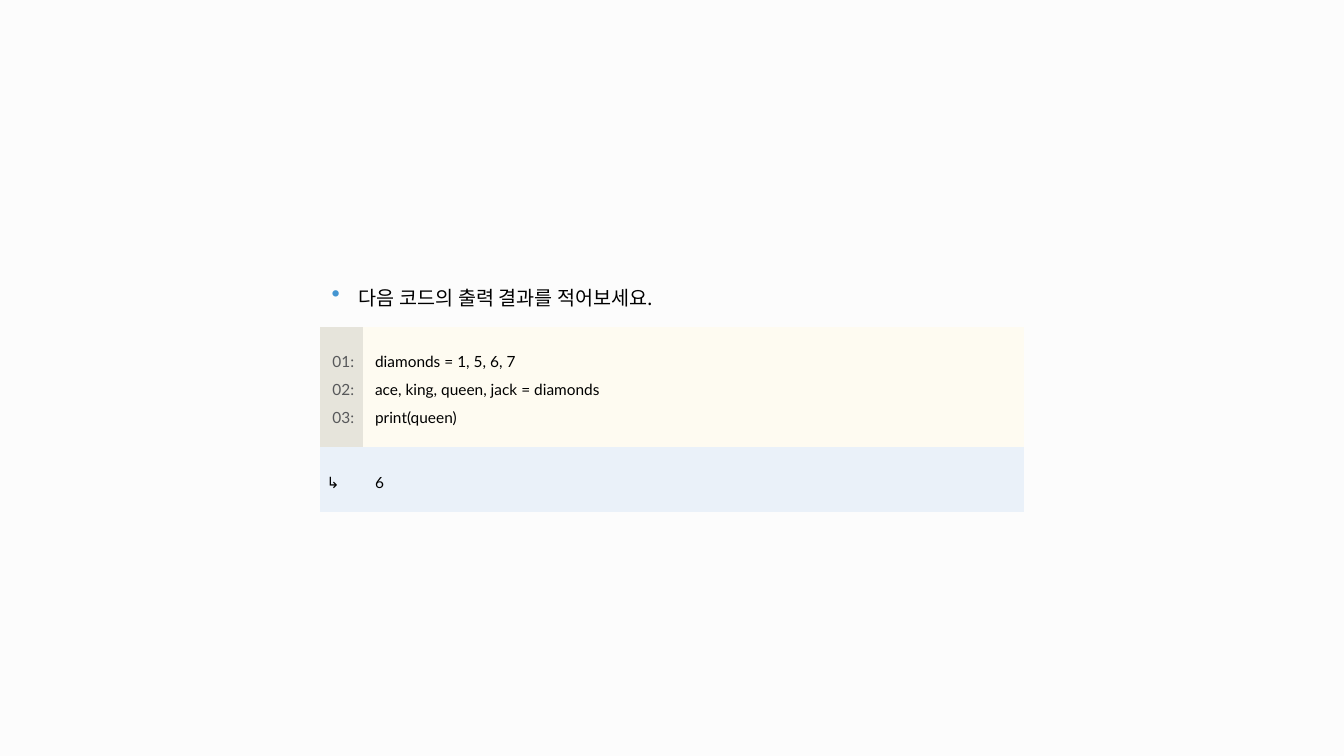
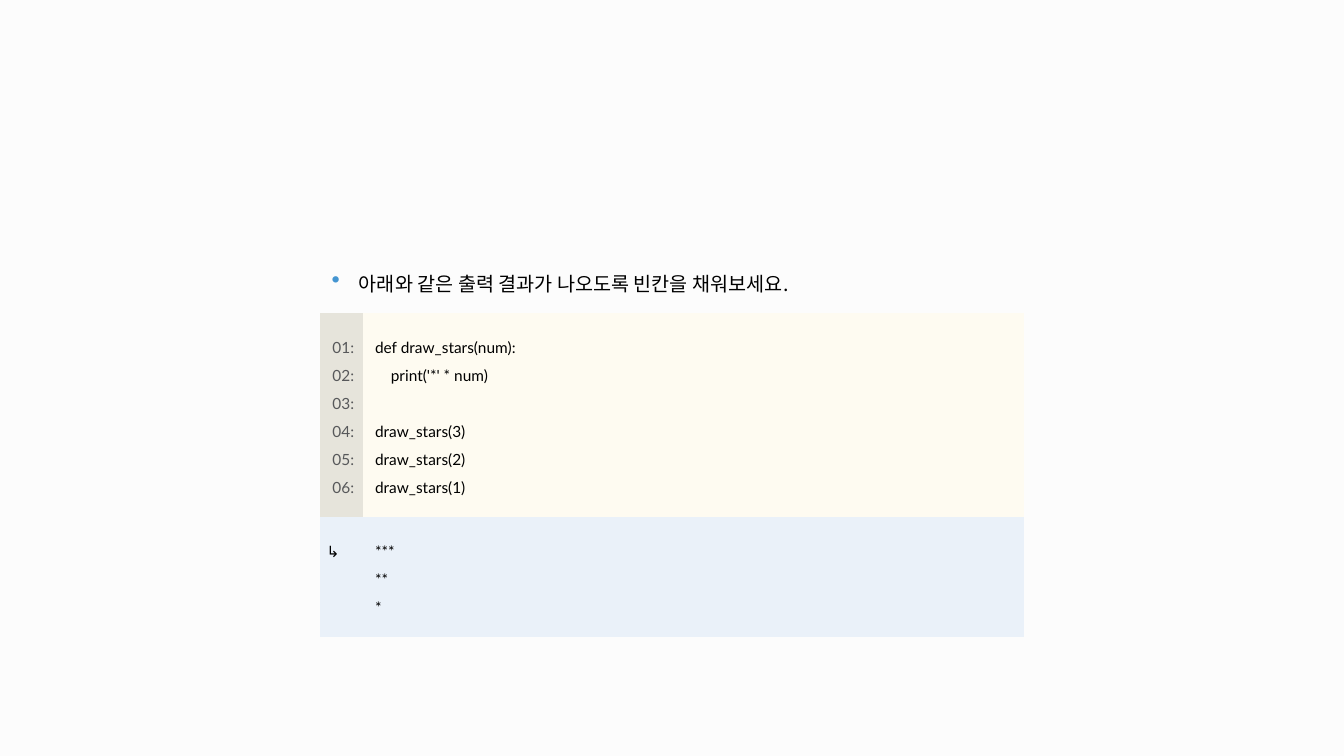
from dataclasses import dataclass

from lxml.etree import SubElement
from pptx import Presentation
from pptx.dml.color import RGBColor as Rgb
from pptx.enum.text import MSO_ANCHOR as Anchor, PP_ALIGN as Align
from pptx.oxml.ns import qn
from pptx.util import Inches, Pt


@dataclass(frozen=True)
class Theme:
    background: str = "FCFCFC"
    ink: str = "000000"
    number: str = "57585A"
    bullet: str = "4495D1"
    gutter: str = "E6E4DB"
    code: str = "FEFBF1"
    output: str = "EAF1F9"
    code_font: str = "Lato"
    prompt_font: str = "Noto Sans CJK KR"
    code_size: int = 11
    prompt_size: int = 14
    spacing: float = 1.5


NO_STYLE = "{2D5ABB26-0587-4C30-8999-92F81FD0307C}"
LEFT = 3.17
COLUMNS = (0.43, 6.56)
PROMPT_HEIGHT = 0.62
LINE_HEIGHT = 0.27
TEXT_INSETS = (0.12, 0.16, 0, 0.2)
ARROW_INSETS = (0.07, 0.16, 0, 0.2)
GUTTER_INSETS = (0.04, 0.04, 0, 0.08)
PROMPT_INSETS = (0.12, 0.04, 0, 0.16)


class ExerciseDeck:
    """Build code exercise slides that share one theme."""

    def __init__(self, theme):
        self.theme = theme
        self.deck = Presentation()
        self.deck.slide_width = Inches(13.33)
        self.deck.slide_height = Inches(7.5)
        fill = self.deck.slide_master.background.fill
        fill.solid()
        fill.fore_color.rgb = Rgb.from_string(theme.background)
        self.page = None

    def add_page(self):
        self.page = self.deck.slides.add_slide(self.deck.slide_layouts[6])

    def add_table(self, top, heights):
        frame = self.page.shapes.add_table(
            len(heights), len(COLUMNS), Inches(LEFT), Inches(top),
            Inches(sum(COLUMNS)), Inches(sum(heights)))
        table = frame.table
        table.first_row = table.horz_banding = False
        for style in frame.element.iter(qn("a:tableStyleId")):
            style.text = NO_STYLE
        for column, width in zip(table.columns, COLUMNS):
            column.width = Inches(width)
        for row, height in zip(table.rows, heights):
            row.height = Inches(height)
        return table

    def format_cell(self, cell, insets, fill=None, anchor=Anchor.MIDDLE):
        (cell.margin_left, cell.margin_top,
         cell.margin_right, cell.margin_bottom) = map(Inches, insets)
        cell.vertical_anchor = anchor
        if fill:
            cell.fill.solid()
            cell.fill.fore_color.rgb = Rgb.from_string(fill)
        else:
            cell.fill.background()

    def add_span(self, para, text, font, size, color):
        span = para.add_run()
        span.text = text
        span.font.name = font
        span.font.size = Pt(size)
        span.font.color.rgb = Rgb.from_string(color)
        return span

    def add_lines(self, cell, lines, color, align=Align.LEFT):
        theme = self.theme
        for index, line in enumerate(lines):
            frame = cell.text_frame
            para = frame.add_paragraph() if index else frame.paragraphs[0]
            para.alignment = align
            para.line_spacing = theme.spacing
            if line:
                self.add_span(para, line, theme.code_font, theme.code_size, color)
            else:
                end = SubElement(para._p, qn("a:endParaRPr"), sz=str(theme.code_size * 100))
                SubElement(end, qn("a:latin"), typeface=theme.code_font)

    def add_prompt(self, cell, text):
        theme = self.theme
        para = cell.text_frame.paragraphs[0]
        props = para._p.get_or_add_pPr()
        props.set("marL", str(Inches(0.27)))
        props.set("indent", str(-Inches(0.27)))
        color = SubElement(props, qn("a:buClr"))
        SubElement(color, qn("a:srgbClr"), val=theme.bullet)
        SubElement(props, qn("a:buSzPct"), val="125000")
        SubElement(props, qn("a:buChar"), char="•")
        para.line_spacing = theme.spacing
        span = self.add_span(para, text, theme.prompt_font, theme.prompt_size, theme.ink)
        SubElement(span.font._element, qn("a:ea"), typeface=theme.prompt_font)

    def add_exercise(self, top, prompt, code, output):
        theme = self.theme
        padding = TEXT_INSETS[1] + TEXT_INSETS[3]
        heights = [PROMPT_HEIGHT] + [
            len(lines) * LINE_HEIGHT + padding for lines in (code, output)]
        self.add_page()
        table = self.add_table(top, heights)

        heading = table.cell(0, 0)
        heading.merge(table.cell(0, 1))
        self.format_cell(heading, PROMPT_INSETS)
        self.add_prompt(heading, prompt)

        numbers = [f"{number:02}:" for number in range(1, len(code) + 1)]
        gutter, listing = table.cell(1, 0), table.cell(1, 1)
        self.format_cell(gutter, GUTTER_INSETS, theme.gutter)
        self.add_lines(gutter, numbers, theme.number, Align.CENTER)
        self.format_cell(listing, TEXT_INSETS, theme.code)
        self.add_lines(listing, code, theme.ink)

        arrow, result = table.cell(2, 0), table.cell(2, 1)
        self.format_cell(arrow, ARROW_INSETS, theme.output, Anchor.TOP)
        self.add_lines(arrow, ["↳"], theme.ink)
        self.format_cell(result, TEXT_INSETS, theme.output)
        self.add_lines(result, output, theme.ink)


def main():
    builder = ExerciseDeck(Theme())
    builder.add_exercise(
        2.62, "다음 코드의 출력 결과를 적어보세요.",
        ["diamonds = 1, 5, 6, 7",
         "ace, king, queen, jack = diamonds",
         "print(queen)"],
        ["6"])
    builder.add_exercise(
        2.48, "아래와 같은 출력 결과가 나오도록 빈칸을 채워보세요.",
        ["def draw_stars(num):",
         "    print('*' * num)",
         "",
         "draw_stars(3)",
         "draw_stars(2)",
         "draw_stars(1)"],
        ["***", "**", "*"])
    builder.deck.save("out.pptx")


if __name__ == "__main__":
    main()
